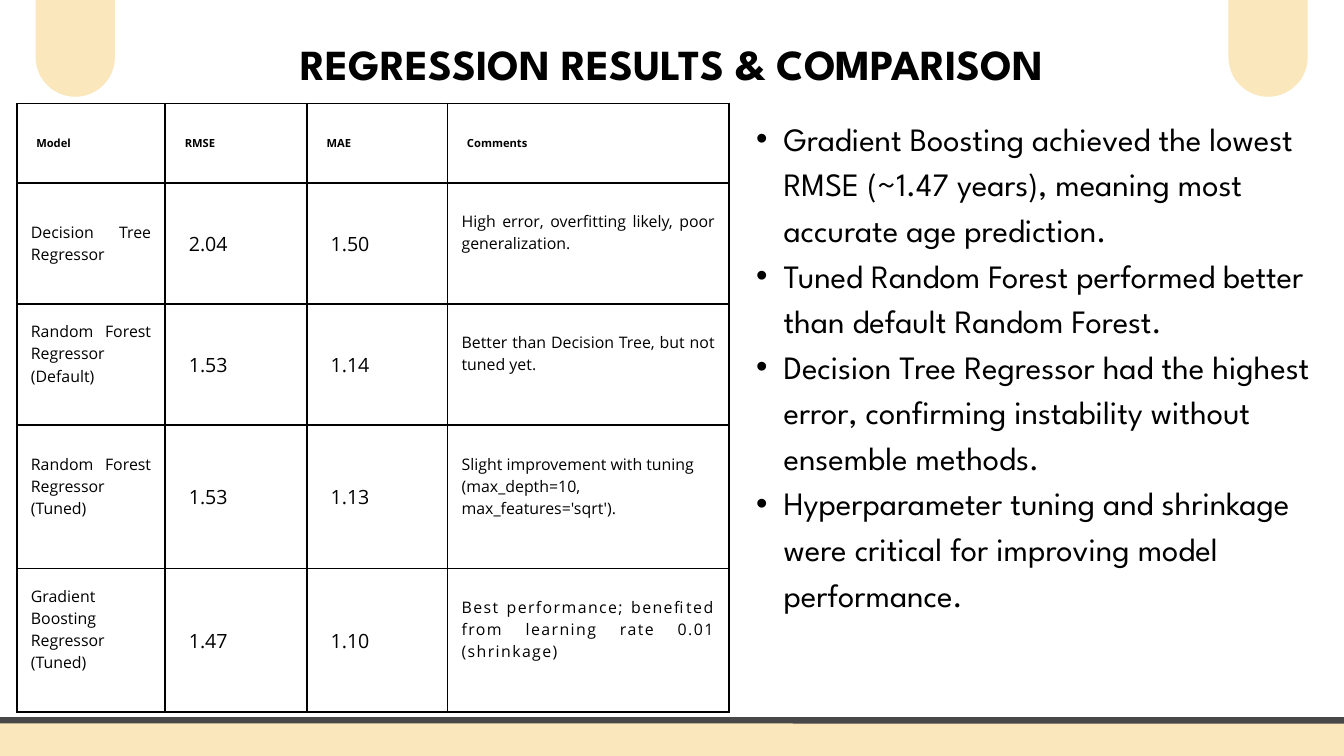
"""Build the regression results and comparison slide."""
import dataclasses

import lxml.etree
import pptx
import pptx.dml.color
import pptx.enum.shapes
import pptx.enum.text
import pptx.oxml.ns
import pptx.util

Inches = pptx.util.Inches
Pt = pptx.util.Pt
RGB = pptx.dml.color.RGBColor
ALIGN = pptx.enum.text.PP_ALIGN
SHAPES = pptx.enum.shapes.MSO_SHAPE


@dataclasses.dataclass
class Theme:
    cream: RGB = RGB.from_string("FAE7BC")
    charcoal: RGB = RGB.from_string("494848")
    black: RGB = RGB.from_string("000000")
    display: str = "League Spartan"
    body: str = "Open Sans"
    title_size: float = 45.9
    finding_size: float = 34.9
    header_size: float = 12
    label_size: float = 17
    score_size: float = 21
    leading: float = 1.4


theme = Theme()


def add_text(paragraph, words, font, size, bold=False, align=ALIGN.LEFT):
    paragraph.alignment = align
    paragraph.line_spacing = Pt(size * theme.leading)
    run = paragraph.add_run()
    run.text = words
    run.font.name = font
    run.font.size = Pt(size)
    run.font.bold = bold
    run.font.color.rgb = theme.black
    return run


def add_child(parent, tag, **attributes):
    return lxml.etree.SubElement(parent, pptx.oxml.ns.qn(tag), attributes)


deck = pptx.Presentation()
deck.slide_width, deck.slide_height = Inches(20), Inches(11.25)
slide = deck.slides.add_slide(deck.slide_layouts[6])

for left, top, width, height, rounding in (
    (18.28, -1.08, 1.18, 2.52, 0.5),
    (-0.58, 10.72, 21.16, 0.9, 0.1),
    (0.53, -1.08, 1.18, 2.52, 0.5),
):
    band = slide.shapes.add_shape(
        SHAPES.ROUNDED_RECTANGLE, Inches(left), Inches(top), Inches(width), Inches(height))
    band.adjustments[0] = rounding
    band.shadow.inherit = False
    band.fill.solid()
    band.fill.fore_color.rgb = theme.cream
    if width > height:
        band.line.color.rgb = theme.charcoal
        band.line.width = Pt(6.75)
    else:
        band.line.fill.background()

results = (
    ("Model", "RMSE", "MAE", "Comments"),
    ("Decision Tree Regressor", "2.04", "1.50",
     "High error, overfitting likely, poor generalization."),
    ("Random Forest Regressor (Default)", "1.53", "1.14",
     "Better than Decision Tree, but not tuned yet."),
    ("Random Forest Regressor (Tuned)", "1.53", "1.13",
     "Slight improvement with tuning\n(max_depth=10, max_features='sqrt')."),
    ("Gradient Boosting Regressor (Tuned)", "1.47", "1.10",
     "Best performance; benefited from learning rate 0.01 (shrinkage)"),
)
column_widths = (2.21, 2.11, 2.09, 4.19)
row_heights = (1.18, 1.8, 1.81, 2.13, 2.13)
inset = 0.21
raised_inset = 0.54

table = slide.shapes.add_table(
    len(results), len(column_widths), Inches(0.25), Inches(1.54),
    Inches(sum(column_widths)), Inches(sum(row_heights))).table
table.first_row = table.horz_banding = False
for column, width in zip(table.columns, column_widths):
    column.width = Inches(width)

for row_index, (entries, height) in enumerate(zip(results, row_heights)):
    table.rows[row_index].height = Inches(height)
    for column_index, entry in enumerate(entries):
        is_header = row_index == 0
        is_score = column_index in (1, 2)
        is_raised = not is_header and (column_index == 3 or column_index == 0 and row_index > 1)
        if is_header:
            size, indent = theme.header_size, 0.29
        elif is_score:
            size, indent = theme.score_size, 0.35
        else:
            size, indent = theme.label_size, inset

        cell = table.cell(row_index, column_index)
        cell.vertical_anchor = pptx.enum.text.MSO_ANCHOR.MIDDLE
        cell.margin_left = Inches(indent)
        cell.margin_right = cell.margin_top = Inches(inset)
        cell.margin_bottom = Inches(raised_inset if is_raised else inset)
        for line_index, words in enumerate(entry.split("\n")):
            frame = cell.text_frame
            paragraph = frame.add_paragraph() if line_index else frame.paragraphs[0]
            run = add_text(paragraph, words, theme.body, size, is_header, ALIGN.JUSTIFY)
            if words.startswith("Best performance"):
                run.font._element.set("spc", "150")

        properties = cell._tc.get_or_add_tcPr()
        for side in ("a:lnL", "a:lnR", "a:lnT", "a:lnB"):
            border = add_child(properties, side, w=str(Pt(2.25)))
            add_child(add_child(border, "a:solidFill"), "a:srgbClr", val=str(theme.black))
        cell.fill.background()

title = slide.shapes.add_textbox(Inches(1.42), Inches(0.44), Inches(17.16), Inches(0.85))
findings = slide.shapes.add_textbox(Inches(10.84), Inches(1.67), Inches(8.98), Inches(9.44))
for box in (title, findings):
    frame = box.text_frame
    frame.word_wrap = True
    frame.margin_left = frame.margin_right = frame.margin_top = frame.margin_bottom = 0

add_text(title.text_frame.paragraphs[0], "REGRESSION RESULTS & COMPARISON",
         theme.display, theme.title_size, True, ALIGN.CENTER)

for index, finding in enumerate((
    "Gradient Boosting achieved the lowest RMSE (~1.47 years), meaning most accurate age prediction.",
    "Tuned Random Forest performed better than default Random Forest.",
    "Decision Tree Regressor had the highest error, confirming instability without ensemble methods.",
    "Hyperparameter tuning and shrinkage were critical for improving model performance.",
)):
    frame = findings.text_frame
    paragraph = frame.add_paragraph() if index else frame.paragraphs[0]
    add_text(paragraph, finding, theme.display, theme.finding_size)
    bullet = paragraph._p.get_or_add_pPr()
    bullet.set("marL", str(Inches(0.82)))
    bullet.set("indent", str(Inches(-0.41)))
    add_child(bullet, "a:buFont", typeface="Arial")
    add_child(bullet, "a:buChar", char="•")

deck.save("out.pptx")
